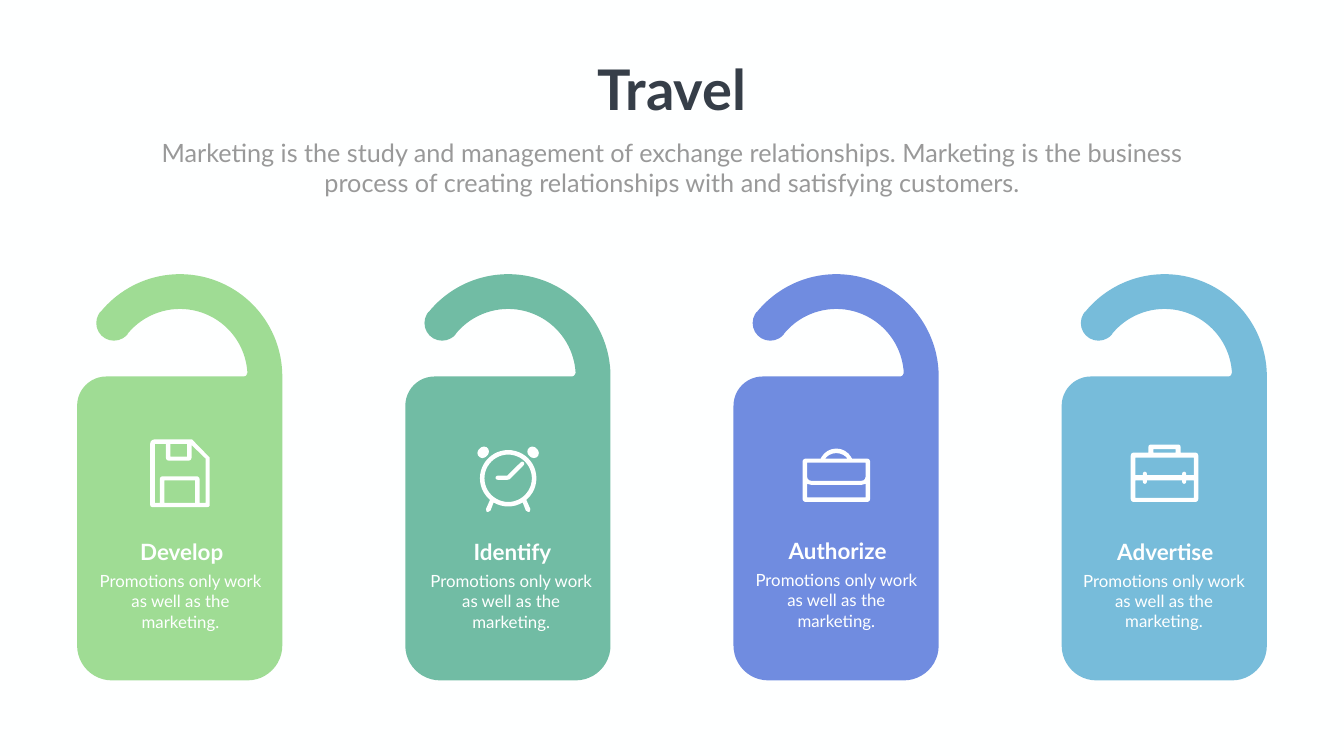
from dataclasses import dataclass
from math import cos, radians, sin
from typing import NamedTuple

from lxml import etree
from pptx import Presentation
from pptx.dml.color import RGBColor
from pptx.enum import text
from pptx.oxml.ns import qn
from pptx.util import Inches, Pt

FONT = "Lato"
WHITE = RGBColor(0xFE, 0xFF, 0xFF)
DARK = RGBColor(0x36, 0x3E, 0x48)
GRAY = RGBColor(0x99, 0x99, 0x99)
GREEN = RGBColor(0x9F, 0xDC, 0x94)
TEAL = RGBColor(0x71, 0xBC, 0xA4)
INDIGO = RGBColor(0x70, 0x8C, 0xE0)
SKY = RGBColor(0x77, 0xBC, 0xDA)

LEFT, TOP, PITCH = 1.53, 5.44, 6.51
ICON_DX, ICON_Y = 2.04, 9.4  # icon centre: from the hanger's left, on the slide


class Node(NamedTuple):
    """A corner, reached by a straight line or, if r is set, by an arc."""
    x: float
    y: float
    r: float = 0
    start: float = 0
    sweep: float = 0


Contour = list[Node]
Outline = list[Contour]  # first contour is the body, the rest are holes


@dataclass
class Card:
    label: str
    color: RGBColor
    icon: list[Outline]
    text_left: float
    text_top: float


# Outline geometry, in inches; angles run clockwise from the right
def arc(cx: float, cy: float, r: float, start: float, end: float) -> Contour:
    low, high = sorted((start, end))
    inner = [a for a in range(-360, 451, 90) if low < a < high]
    stops = [start, *(inner if start < end else inner[::-1]), end]
    ends = [(cx + r * cos(radians(a)), cy + r * sin(radians(a))) for a in stops]
    return [Node(*ends[0]), *(Node(*p, r, a, b - a)
                              for p, a, b in zip(ends[1:], stops, stops[1:]))]


def poly(*points: tuple[float, float]) -> Contour:
    return [Node(*p) for p in points]


def rect(x1: float, y1: float, x2: float, y2: float) -> Contour:
    return poly((x1, y1), (x2, y1), (x2, y2), (x1, y2))


def mirror(nodes: Contour) -> Contour:
    return [Node(-n.x, n.y, n.r, 180 - n.start, -n.sweep) for n in nodes]


def flip(nodes: Contour, axis: float) -> Contour:
    return [Node(n.x, 2 * axis - n.y, n.r, -n.start, -n.sweep) for n in nodes]


def hanger() -> Outline:
    return [[*arc(2.04, 2.03, 2.03, 0, -141),       # outside of the hook
             *arc(0.73, 0.97, 0.35, -141, -321),    # round tip
             *arc(2.04, 2.03, 1.34, -141, -2),      # inside of the hook
             *arc(3.31, 1.97, 0.06, 0, 90),
             *arc(0.58, 2.61, 0.58, 270, 180),      # body corners
             *arc(0.69, 7.37, 0.69, 180, 90),
             *arc(3.38, 7.37, 0.69, 90, 0)]]


def floppy() -> list[Outline]:
    body = [*arc(-0.51, -0.6, 0.08, 180, 270), *poly((0.24, -0.68), (0.59, -0.32)),
            *arc(0.55, 0.62, 0.04, 0, 90), *arc(-0.55, 0.62, 0.04, 90, 180)]
    inside = [*poly((0.51, 0.58), (0.39, 0.58)), *arc(0.33, 0.11, 0.06, 0, -90),
              *arc(-0.34, 0.11, 0.06, -90, -180),
              *poly((-0.4, 0.58), (-0.5, 0.58), (-0.5, -0.59), (-0.28, -0.59)),
              *arc(-0.22, -0.32, 0.06, 180, 90), *arc(0.17, -0.32, 0.06, 90, 0),
              *poly((0.23, -0.57), (0.51, -0.3))]
    shutter, label = rect(-0.19, -0.59, 0.14, -0.34), rect(-0.31, 0.13, 0.3, 0.58)
    return [[body, inside, shutter, label]]


def clock() -> list[Outline]:
    foot = poly((0.44, 0.7), (0.43, 0.75), (0.4, 0.76), (0.35, 0.73))
    body = [*arc(0, 0.09, 0.56, 130, 410), *foot,
            *arc(0, 0.09, 0.56, 59, 121), *reversed(mirror(foot))]
    face = arc(0, 0.09, 0.47, 0, 360)
    hands = [*poly((-0.02, 0.04)), *arc(-0.21, 0.08, 0.04, -90, -270),
             *poly((-0.01, 0.12), (0.03, 0.11)), *arc(0.28, -0.2, 0.04, 45, -135)]
    bell = [*arc(0.48, -0.44, 0.1, 135, 315), *arc(0.51, -0.41, 0.1, -45, 135)]
    return [[body, face], [hands], [bell], [mirror(bell)]]


def bag() -> list[Outline]:
    body = [*arc(-0.61, -0.24, 0.06, 180, 270), *arc(0, -0.16, 0.34, 204, 336),
            *arc(0.61, -0.24, 0.06, 270, 360), *arc(0.61, 0.5, 0.06, 0, 90),
            *arc(-0.61, 0.5, 0.06, 90, 180)]
    handle = arc(0, -0.13, 0.28, 217, 323)
    flap = [*poly((-0.58, -0.22), (0.58, -0.22)), *arc(0.5, 0.06, 0.08, 0, 90),
            *arc(-0.5, 0.06, 0.08, 90, 180)]
    pocket = poly((-0.58, 0.2), (-0.5, 0.22), (0.5, 0.22), (0.58, 0.2),
                  (0.58, 0.47), (-0.58, 0.47))
    return [[body, handle, flap, pocket]]


def briefcase() -> list[Outline]:
    body = [*arc(-0.61, -0.36, 0.06, 180, 270), *poly((-0.32, -0.42)),
            *arc(-0.27, -0.53, 0.05, 180, 270), *arc(0.27, -0.53, 0.05, 270, 360),
            *poly((0.32, -0.42)), *arc(0.61, -0.36, 0.06, 270, 360),
            *arc(0.61, 0.5, 0.06, 0, 90), *arc(-0.61, 0.5, 0.06, 90, 180)]
    handle = rect(-0.22, -0.49, 0.22, -0.42)
    upper = poly((-0.58, 0.03), (-0.58, -0.32), (0.58, -0.32), (0.58, 0.03))
    for x in (0.39, -0.39):  # clasps
        upper += [*poly((x + 0.04, 0.03)), *arc(x, 0, 0.04, 0, -180),
                  *poly((x - 0.04, 0.03))]
    return [[body, handle, upper, flip(upper, 0.08)]]


# Drawing
def draw_outline(s, outline: Outline, x: float, y: float, color: RGBColor) -> None:
    builder = None
    for contour in outline:
        first, *rest = [(Inches(x + n.x), Inches(y + n.y)) for n in contour]
        if builder is None:
            builder = s.shapes.build_freeform(*first, scale=1.0)
        else:
            builder.move_to(*first)
        builder.add_line_segments(rest, close=True)
    sp = builder.convert_to_shape()
    # Turn the straight segments that stand for arcs into arcs
    segments = sp._element.xpath(".//a:moveTo | .//a:lnTo")
    for segment, n in zip(segments, sum(outline, [])):
        if n.r:
            radius = str(Inches(n.r))
            curve = etree.Element(qn("a:arcTo"), wR=radius, hR=radius,
                                  stAng=str(round(n.start % 360 * 60000)),
                                  swAng=str(round(n.sweep * 60000)))
            segment.getparent().replace(segment, curve)
    sp.shadow.inherit = False
    sp.fill.solid()
    sp.fill.fore_color.rgb = color
    sp.line.fill.background()


def write(sp, lines: list[str], size: int, color: RGBColor,
          bold: bool = False, wrap: bool = True) -> None:
    tf = sp.text_frame
    tf.word_wrap = wrap
    tf.auto_size = text.MSO_AUTO_SIZE.SHAPE_TO_FIT_TEXT
    tf.vertical_anchor = text.MSO_ANCHOR.TOP
    tf.text = "\n".join(lines)
    for p in tf.paragraphs:
        p.alignment = text.PP_ALIGN.CENTER
        p.font.name, p.font.size, p.font.bold = FONT, Pt(size), bold
        p.font.color.rgb = color


def add_text(s, box: tuple[float, ...], lines: list[str], size: int,
             color: RGBColor, bold: bool = False) -> None:
    write(s.shapes.add_textbox(*map(Inches, box)), lines, size, color, bold)


def draw_card(s, index: int, card: Card) -> None:
    x = LEFT + index * PITCH
    draw_outline(s, hanger(), x, TOP, card.color)
    for outline in card.icon:
        draw_outline(s, outline, x + ICON_DX, ICON_Y, WHITE)
    left, top = card.text_left, card.text_top
    add_text(s, (left, top, 3.41, 0.64), [card.label], 32, WHITE, True)
    add_text(s, (left - 0.05, top + 0.65, 3.46, 1.31),
             ["Promotions only work", "as well as the marketing."], 24, WHITE)


# Slide and heading
prs = Presentation()
prs.slide_width, prs.slide_height = Inches(26.66), Inches(15)
s = prs.slides.add_slide(prs.slide_layouts[5])
s.background.fill.solid()
s.background.fill.fore_color.rgb = WHITE
title = s.shapes.title
title.left, title.top, title.width, title.height = map(Inches, (11.65, 1.03, 3.36, 1.45))
write(title, ["Travel"], 80, DARK, bold=True, wrap=False)
add_text(s, (2.68, 2.68, 21.3, 1.31),
         ["Marketing is the study and management of exchange relationships. Marketing is the "
          "business process of creating relationships with and satisfying customers."], 36, GRAY)

# Door hangers
for i, card in enumerate([Card("Develop", GREEN, floppy(), 1.9, 10.63),
                          Card("Identify", TEAL, clock(), 8.46, 10.63),
                          Card("Authorize", INDIGO, bag(), 14.91, 10.61),
                          Card("Advertise", SKY, briefcase(), 21.41, 10.62)]):
    draw_card(s, i, card)
prs.save("out.pptx")
